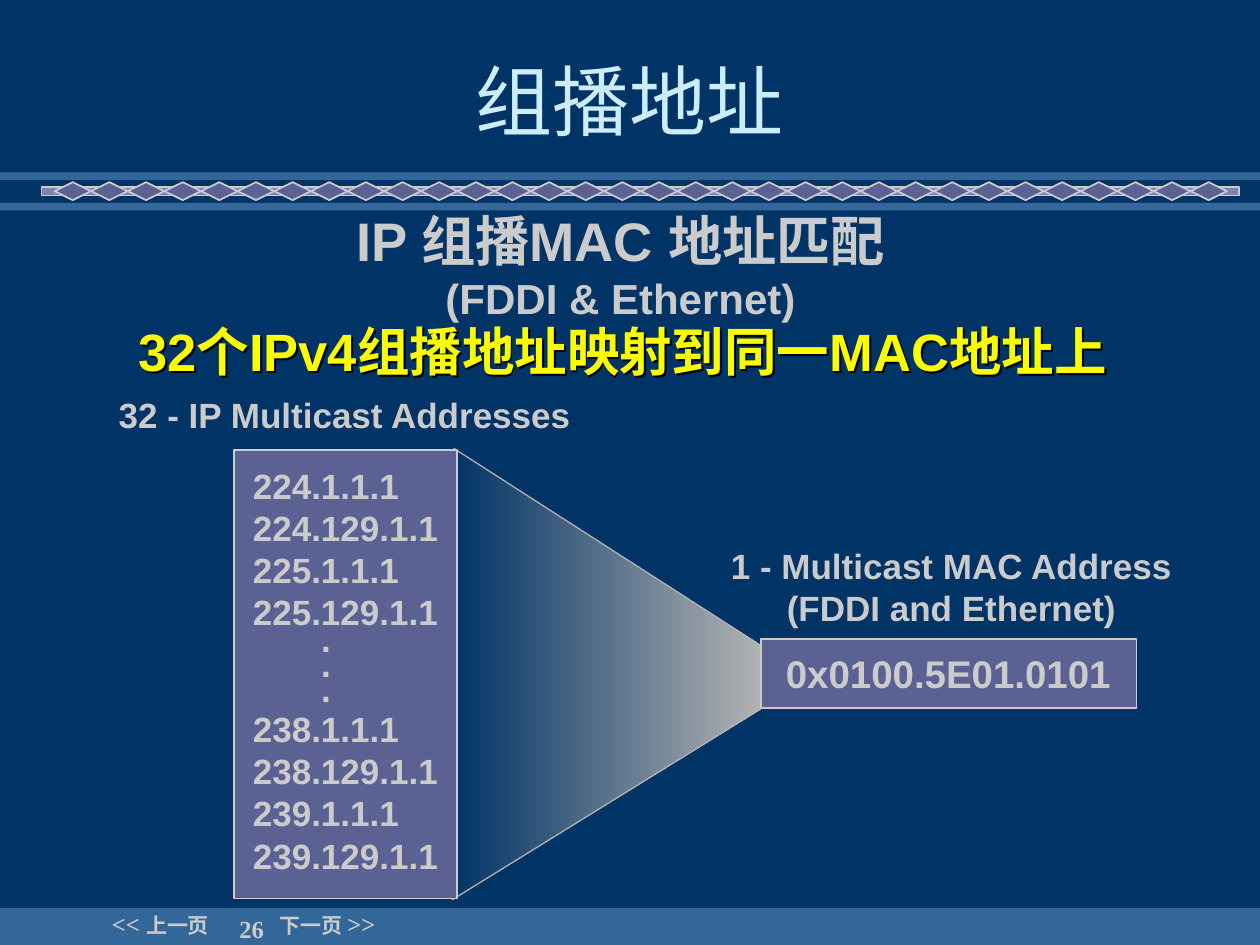
from dataclasses import dataclass

from lxml.etree import SubElement
from pptx import Presentation
from pptx.dml.color import RGBColor
from pptx.enum.shapes import MSO_SHAPE
from pptx.enum.text import MSO_ANCHOR, PP_ALIGN
from pptx.oxml.ns import qn
from pptx.util import Pt


@dataclass(frozen=True)
class Theme:
    background: str = "003366"
    band: str = "336699"
    rail: str = "8381B3"
    panel: str = "5B6192"
    text: str = "CBCBCB"
    title: str = "CCECFF"
    highlight: str = "FAFD00"
    beam: str = "B2B2B2"
    shadow: str = "000000"
    body_font: str = "Arial"
    title_font: str = "Montserrat"
    footer_font: str = "Times New Roman"
    title_size: float = 44
    heading_size: float = 31
    highlight_size: float = 30
    subheading_size: float = 24
    mac_size: float = 22
    body_size: float = 20
    footer_size: float = 14
    footer_word_size: float = 12


THEME = Theme()
LOW_ADDRESSES = ["224.1.1.1", "224.129.1.1", "225.1.1.1", "225.129.1.1"]
HIGH_ADDRESSES = ["238.1.1.1", "238.129.1.1", "239.1.1.1", "239.129.1.1"]


def rgb(color):
    return RGBColor.from_string(color)


def style_run(run, size, color=THEME.text, font=THEME.body_font, bold=True):
    run.font.size = Pt(size)
    run.font.name = font
    run.font.bold = bold
    run.font.color.rgb = rgb(color)


def set_insets(frame, left, top, right, bottom):
    frame.margin_left, frame.margin_top = Pt(left), Pt(top)
    frame.margin_right, frame.margin_bottom = Pt(right), Pt(bottom)


def add_panel(slide, preset, box, fill, line=None):
    panel = slide.shapes.add_shape(preset, *map(Pt, box))
    panel.shadow.inherit = False
    panel.fill.solid()
    panel.fill.fore_color.rgb = rgb(fill)
    if line:
        panel.line.color.rgb = rgb(line)
        panel.line.width = Pt(1)
    else:
        panel.line.fill.background()
    return panel


def add_label(slide, box, lines, align=PP_ALIGN.LEFT, anchor=MSO_ANCHOR.TOP,
              insets=(8, 4.3, 8, 4.3), **style):
    label = slide.shapes.add_textbox(*map(Pt, box))
    frame = label.text_frame
    frame.word_wrap = False
    frame.vertical_anchor = anchor
    set_insets(frame, *insets)
    for index, pieces in enumerate(lines):
        paragraph = frame.paragraphs[0] if index == 0 else frame.add_paragraph()
        paragraph.alignment = align
        for text, size in pieces:
            run = paragraph.add_run()
            run.text = text
            style_run(run, size, **style)
    return label


def add_text_shadow(label):
    effects = SubElement(label._element.spPr, qn("a:effectLst"))
    shadow = SubElement(effects, qn("a:outerShdw"), dist=str(Pt(1.6)), dir="2700000",
                        algn="ctr", rotWithShape="0")
    SubElement(shadow, qn("a:srgbClr"), val=THEME.shadow)


def place_title(slide, box):
    title = slide.shapes.title
    title.left, title.top, title.width, title.height = map(Pt, box)
    frame = title.text_frame
    frame.text = "组播地址"
    frame.vertical_anchor = MSO_ANCHOR.MIDDLE
    frame.paragraphs[0].alignment = PP_ALIGN.CENTER
    style_run(frame.paragraphs[0].runs[0], THEME.title_size, THEME.title,
              THEME.title_font, bold=False)


def place_divider(slide, box):
    left, top, width, height = box
    band_height = 4.3
    for band_top in (top, top + height - band_height):
        add_panel(slide, MSO_SHAPE.RECTANGLE, (left, band_top, width, band_height), THEME.band)
    add_panel(slide, MSO_SHAPE.RECTANGLE, (left + 23.8, top + 8.2, 684.4, 5),
              THEME.rail, THEME.text)
    diamonds, first, pitch = 32, left + 31.2, 20.94
    for index in range(diamonds):
        add_panel(slide, MSO_SHAPE.DIAMOND, (first + index * pitch, top + 5.5, 20.8, 10.3),
                  THEME.panel, THEME.text)


def place_footer(slide, box):
    left, top, width, height = box
    add_panel(slide, MSO_SHAPE.RECTANGLE, box, THEME.band)
    big, small = THEME.footer_size, THEME.footer_word_size
    items = [
        ((62.6, -3.6, 61.9, 21.6), [("<< ", big), ("上一页", small)], PP_ALIGN.LEFT),
        ((158.4, -3.6, 60.5, 21.6), [("下一页 ", small), (">>", big)], PP_ALIGN.LEFT),
        ((128.4, 2.9, 23.8, 18), [("26", big)], PP_ALIGN.RIGHT),
    ]
    for (x, y, item_width, item_height), pieces, align in items:
        add_label(slide, (left + x, top + y, item_width, item_height), [pieces], align,
                  MSO_ANCHOR.BOTTOM, (1.4, 3.6, 1.4, 0.7), font=THEME.footer_font)


def place_headings(slide, box):
    left, top, width, height = box
    add_label(slide, (left + 151, top, 337.7, 72.7),
              [[("IP 组播MAC 地址匹配", THEME.heading_size)],
               [("(FDDI & Ethernet)", THEME.subheading_size)]],
              PP_ALIGN.CENTER, MSO_ANCHOR.MIDDLE, (6.5, 2.9, 6.5, 2.9))
    highlight = add_label(slide, (left, top + 63.5, width, height - 63.5),
                          [[("32个IPv4组播地址映射到同一MAC地址上", THEME.highlight_size)]],
                          PP_ALIGN.CENTER, insets=(6.5, 3.6, 6.5, 3.6),
                          color=THEME.highlight)
    add_text_shadow(highlight)


def place_beam(slide, box, mouth_top, mouth_bottom):
    left, top, width, height = box
    builder = slide.shapes.build_freeform(Pt(left + 1), Pt(top))
    corners = [(left + width, mouth_top), (left + width - 1, mouth_bottom),
               (left, top + height)]
    builder.add_line_segments([(Pt(x), Pt(y)) for x, y in corners], close=True)
    beam = builder.convert_to_shape()
    beam.shadow.inherit = False
    beam.fill.gradient()
    beam.fill.gradient_angle = 0
    for stop, color, position in zip(beam.fill.gradient_stops,
                                     (THEME.background, THEME.beam), (0, 1)):
        stop.color.rgb = rgb(color)
        stop.position = position
    beam.line.color.rgb = rgb(THEME.beam)
    beam.line.width = Pt(0.75)


def place_addresses(slide, box):
    panel = add_panel(slide, MSO_SHAPE.RECTANGLE, box, THEME.panel, THEME.text)
    frame = panel.text_frame
    frame.vertical_anchor = MSO_ANCHOR.TOP
    set_insets(frame, 10.6, 8.3, 0, 0)
    frame.text = "\n".join(LOW_ADDRESSES + ["."] * 3 + HIGH_ADDRESSES)
    for paragraph in frame.paragraphs:
        paragraph.alignment = PP_ALIGN.LEFT
        style_run(paragraph.runs[0], THEME.body_size)
        if paragraph.text == ".":
            paragraph.line_spacing = 0.6
            paragraph._p.get_or_add_pPr().set("marL", str(Pt(39)))


def place_mac(slide, box):
    panel = add_panel(slide, MSO_SHAPE.RECTANGLE, box, THEME.panel, THEME.text)
    frame = panel.text_frame
    frame.vertical_anchor = MSO_ANCHOR.MIDDLE
    set_insets(frame, 14.2, 0, 0, 0)
    frame.text = "0x0100.5E01.0101"
    frame.paragraphs[0].alignment = PP_ALIGN.LEFT
    style_run(frame.paragraphs[0].runs[0], THEME.mac_size)


def place_mapping(slide, box):
    left, top, width, height = box
    size = THEME.body_size
    place_beam(slide, (left + 198.7, top + 36, 177, 257.8), top + 149, top + 185)
    place_mac(slide, (left + 375.1, top + 144.7, 214.6, 39.8))
    place_addresses(slide, (left + 74.1, top + 36.7, 127.4, 256.5))
    add_label(slide, (left + 349.2, top + 86.7, 269.3, 56.2),
              [[("1 - Multicast MAC Address", size)], [("(FDDI and Ethernet)", size)]],
              PP_ALIGN.CENTER)
    add_label(slide, (left, top, 275.8, 32.4), [[("32 - IP Multicast Addresses", size)]])


def main():
    deck = Presentation()
    deck.slide_width, deck.slide_height = Pt(720), Pt(540)
    slide = deck.slides.add_slide(deck.slide_layouts[5])
    slide.background.fill.solid()
    slide.background.fill.fore_color.rgb = rgb(THEME.background)
    place_divider(slide, (0, 98.6, 720, 21.6))
    place_footer(slide, (0, 519, 720, 21))
    place_mapping(slide, (59.8, 220.3, 618.5, 293.8))
    place_title(slide, (54, 18, 612, 77.8))
    place_headings(slide, (34.7, 115.2, 642, 106.6))
    deck.save("out.pptx")


if __name__ == "__main__":
    main()
